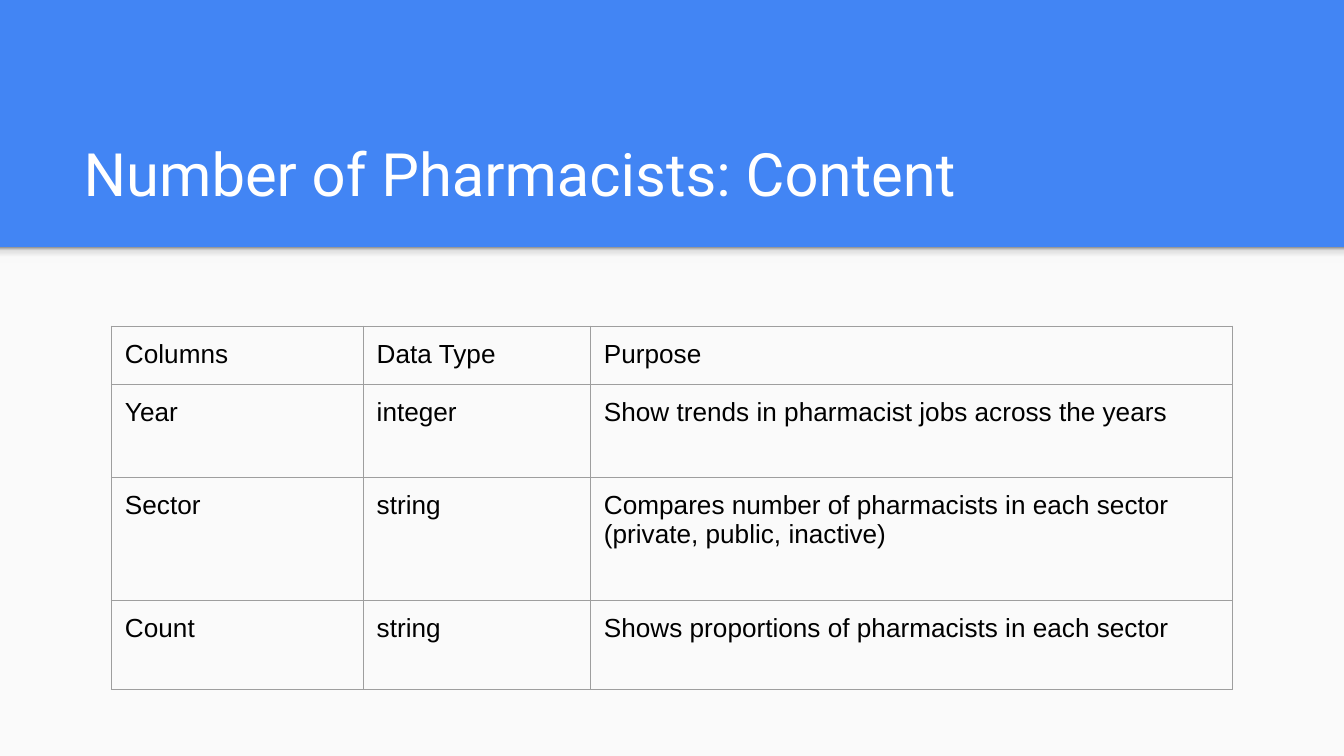
"""Build the slide that describes the columns of the pharmacist data set."""
import copy
from dataclasses import dataclass

import lxml.etree
import pptx
import pptx.dml.color
import pptx.enum.shapes
import pptx.enum.text
import pptx.oxml
import pptx.oxml.ns
import pptx.util

Pt = pptx.util.Pt
qn = pptx.oxml.ns.qn

COLOURS = {
    "banner": "4285F4",
    "body": "FAFAFA",
    "border": "9E9E9E",
    "title": "FFFFFF",
    "text": "000000",
}
SHADOW_STOPS = ((0, "F9F9F9"), (0.36, "F9F9F9"), (0.8, "DEDEDE"), (1, "999999"))
COLUMN_WIDTHS = (134.9, 121.7, 343.9)
INSET = 7.2
BODY_TOP = 132.5


@dataclass(frozen=True)
class Area:
    left: float
    top: float
    width: float
    height: float

    def lengths(self) -> tuple:
        return tuple(Pt(value) for value in (self.left, self.top, self.width, self.height))


@dataclass(frozen=True)
class Row:
    height: float
    texts: tuple[str, str, str]


ROWS = (
    Row(30.2, ("Columns", "Data Type", "Purpose")),
    Row(49.6, ("Year", "integer", "Show trends in pharmacist jobs across the years")),
    Row(66, ("Sector", "string",
             "Compares number of pharmacists in each sector (private, public, inactive)")),
    Row(47.6, ("Count", "string", "Shows proportions of pharmacists in each sector")),
)


def colour(value: str) -> pptx.dml.color.RGBColor:
    return pptx.dml.color.RGBColor.from_string(value)


def add_panel(page, area: Area):
    panel = page.shapes.add_shape(
        pptx.enum.shapes.MSO_SHAPE.RECTANGLE, *area.lengths())
    panel.shadow.inherit = False
    panel.line.fill.background()
    return panel


def fill_gradient(panel) -> None:
    panel.fill.gradient()
    panel.fill.gradient_angle = 90
    stop_list = panel.element.spPr.find(".//" + qn("a:gsLst"))
    for stop in list(stop_list):
        stop_list.append(copy.deepcopy(stop))
    for stop, (position, value) in zip(panel.fill.gradient_stops, SHADOW_STOPS):
        stop.position = position
        stop.color.rgb = colour(value)


def write_text(frame, text: str, font: str, size: float, value: str) -> None:
    frame.text = text
    for para in frame.paragraphs:
        for span in para.runs:
            span.font.name = font
            span.font.size = Pt(size)
            span.font.color.rgb = colour(value)


def set_margins(holder) -> None:
    holder.margin_left = holder.margin_right = Pt(INSET)
    holder.margin_top = holder.margin_bottom = Pt(INSET)


def add_title(page, area: Area, text: str) -> None:
    box = page.shapes.add_textbox(*area.lengths())
    frame = box.text_frame
    frame.word_wrap = True
    frame.vertical_anchor = pptx.enum.text.MSO_ANCHOR.BOTTOM
    set_margins(frame)
    write_text(frame, text, "Roboto", 32, COLOURS["title"])


def add_borders(cell) -> None:
    properties = cell._tc.get_or_add_tcPr()
    for side in ("lnL", "lnR", "lnT", "lnB"):
        line = lxml.etree.SubElement(properties, qn("a:" + side), w=str(Pt(0.75)))
        fill = lxml.etree.SubElement(line, qn("a:solidFill"))
        lxml.etree.SubElement(fill, qn("a:srgbClr"), val=COLOURS["border"])


def add_column_table(page, left: float, top: float, rows: tuple[Row, ...]) -> None:
    area = Area(left, top, sum(COLUMN_WIDTHS), sum(row.height for row in rows))
    table = page.shapes.add_table(
        len(rows), len(COLUMN_WIDTHS), *area.lengths()).table
    table.first_row = table.horz_banding = False
    for column, width in zip(table.columns, COLUMN_WIDTHS):
        column.width = Pt(width)
    for table_row, row in zip(table.rows, rows):
        table_row.height = Pt(row.height)
        for cell, text in zip(table_row.cells, row.texts):
            set_margins(cell)
            add_borders(cell)
            cell.fill.background()
            write_text(cell.text_frame, text, "Arial", 14, COLOURS["text"])


def main() -> None:
    deck = pptx.Presentation()
    deck.slide_width, deck.slide_height = Pt(720), Pt(405)
    page = deck.slides.add_slide(deck.slide_layouts[6])
    page.background.fill.solid()
    page.background.fill.fore_color.rgb = colour(COLOURS["banner"])

    body = add_panel(page, Area(0, BODY_TOP, 720, 405 - BODY_TOP))
    body.fill.solid()
    body.fill.fore_color.rgb = colour(COLOURS["body"])
    fill_gradient(add_panel(page, Area(0, BODY_TOP, 720, 8.5)))

    add_title(page, Area(37.7, 58.3, 647, 60.4), "Number of Pharmacists: Content")
    add_column_table(page, 59.75, 174.8, ROWS)
    deck.save("out.pptx")


if __name__ == "__main__":
    main()
